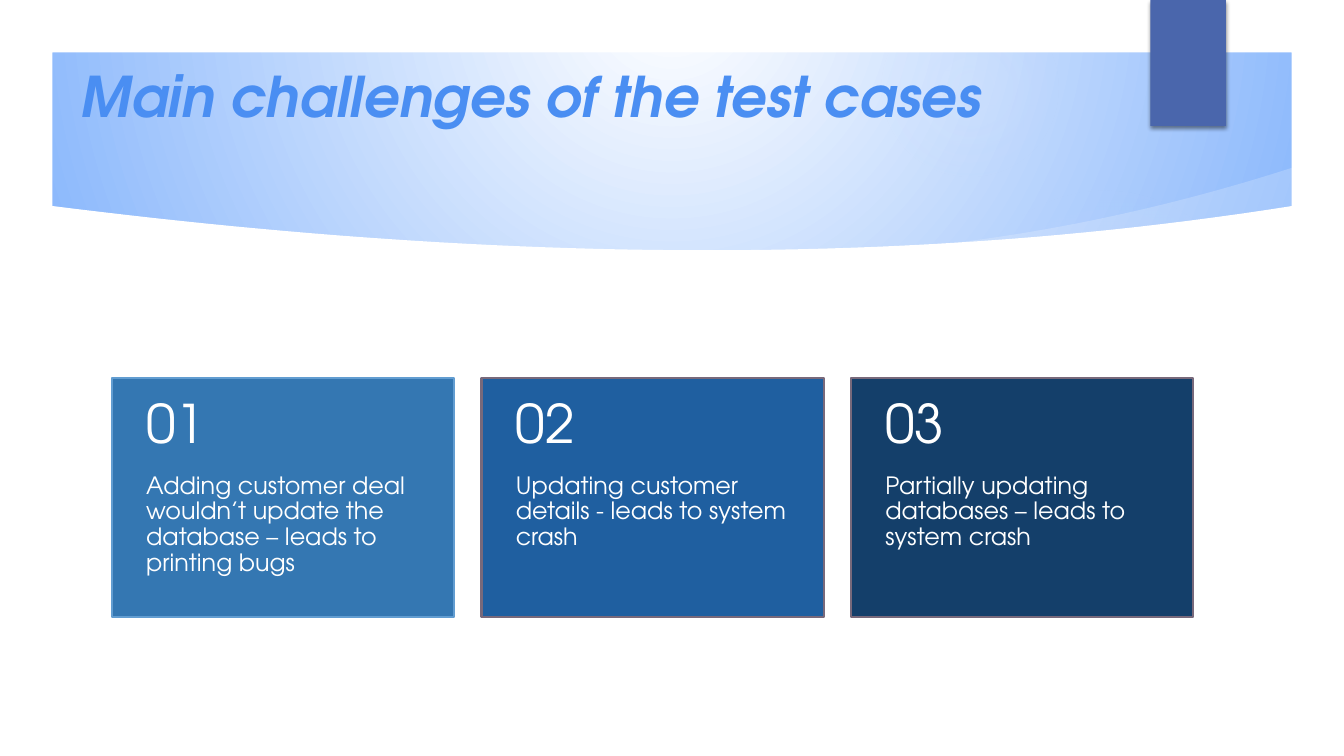
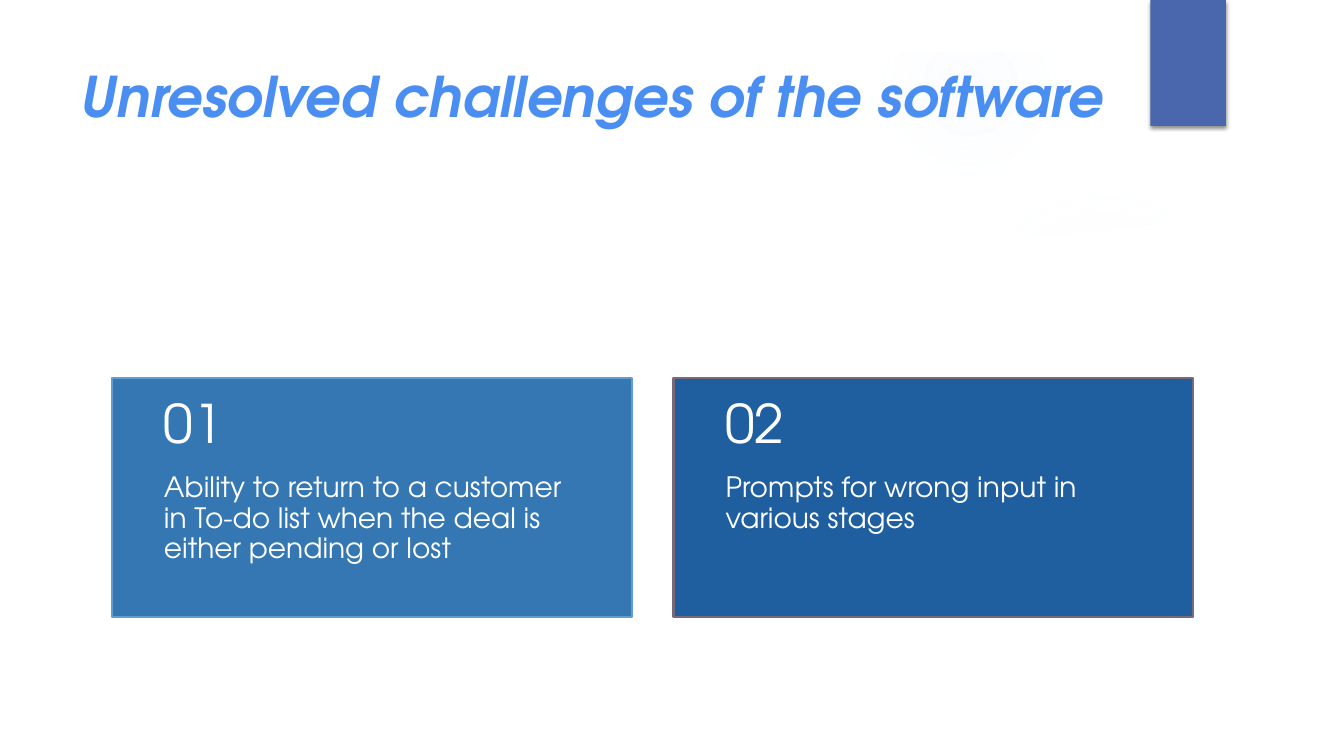
from dataclasses import dataclass

from pptx import Presentation
from pptx.dml.color import RGBColor
from pptx.enum.shapes import MSO_SHAPE as Preset
from pptx.enum.text import MSO_ANCHOR as Anchor
from pptx.oxml import parse_xml
from pptx.oxml.ns import nsdecls, qn
from pptx.util import Inches, Pt

WHITE = RGBColor(0xFF, 0xFF, 0xFF)
SKY = RGBColor(0x79, 0xAD, 0xFB)
GLOW = RGBColor(0xDE, 0xEA, 0xFD)
TITLE_BLUE = RGBColor(0x4A, 0x8E, 0xF2)
TAB_BLUE = RGBColor(0x4A, 0x66, 0xAC)
PALE_LINE = RGBColor(0x62, 0x9D, 0xD1)
MAUVE_LINE = RGBColor(0x78, 0x69, 0x7B)
CARD_STYLES = [
    (RGBColor(0x34, 0x77, 0xB2), PALE_LINE),
    (RGBColor(0x1F, 0x5F, 0xA0), MAUVE_LINE),
    (RGBColor(0x14, 0x3F, 0x6A), MAUVE_LINE),
]
FONT = "TeX Gyre Adventor"

COLUMNS, ROWS = 160, 90
WIDTH, HEIGHT = Inches(13.33), Inches(7.5)
FRAME_ROWS = 6.24
CURVE_STEPS = 48
CARD_GAP = 0.08
CARD_MARGIN = 0.1
NUMBER_SHARE = 0.4

GLOWS = [
    (0, 35, 55, ((0, 11), (36, 10), (75, 0))),
    (0, 38, 31, ((0, 8), (36, 8), (72, 0))),
    (113, 22, 37, ((0, 7), (36, 6), (69, 0))),
    (105, 0, 21, ((0, 14), (36, 7), (73, 0))),
    (113, 77, 13, ((0, 14), (36, 7), (66, 0))),
]


@dataclass
class Box:
    left: float
    top: float
    width: float
    height: float


def across(columns):
    return round(columns * WIDTH / COLUMNS)


def down(rows):
    return round(rows * HEIGHT / ROWS)


def lengths(box):
    return across(box.left), down(box.top), across(box.width), down(box.height)


def inner_box(box, x, y, width, height):
    return Box(box.left + x * box.width, box.top + y * box.height,
               width * box.width, height * box.height)


PAGE = Box(0, 0, COLUMNS, ROWS)
PANEL = Box(6, 24.5, 148, 59.5)
SHEEN = Box(111.6, 19.92, 42.4, 9.24)
TAB = Box(136.95, 0, 9, 15)
TITLE = Box(8.4, 6.72, 128, 9.24)
CARDS = Box(13.33, 45, 128.75, 28.5)


def paint_radial(owner, fill, stops, focus):
    fill.solid()
    solid = owner.find(".//" + qn("a:solidFill"))
    stop_list = "".join(
        f'<a:gs pos="{position * 1000}"><a:srgbClr val="{color}">'
        f'<a:alpha val="{alpha * 1000}"/></a:srgbClr></a:gs>'
        for position, color, alpha in stops)
    left, top, right, bottom = (share * 1000 for share in focus)
    gradient = parse_xml(
        f'<a:gradFill {nsdecls("a")} rotWithShape="1"><a:gsLst>{stop_list}</a:gsLst>'
        f'<a:path path="circle"><a:fillToRect l="{left}" t="{top}" '
        f'r="{right}" b="{bottom}"/></a:path></a:gradFill>')
    solid.getparent().replace(solid, gradient)


def finish(shape, color=None, line=None, opacity=100):
    shape.shadow.inherit = False
    if color is not None:
        shape.fill.solid()
        shape.fill.fore_color.rgb = color
        if opacity < 100:
            shade = shape.element.find(".//" + qn("a:srgbClr"))
            shade.append(parse_xml(
                f'<a:alpha {nsdecls("a")} val="{opacity * 1000}"/>'))
    if line is None:
        shape.line.fill.background()
    else:
        shape.line.color.rgb = line
        shape.line.width = Pt(1.5)
    return shape


def add_preset(slide, preset, box, **style):
    return finish(slide.shapes.add_shape(preset, *lengths(box)), **style)


def add_outline(slide, points, **style):
    start, *others = [(across(x), down(y)) for x, y in points]
    builder = slide.shapes.build_freeform(*start)
    builder.add_line_segments(others, close=True)
    return finish(builder.convert_to_shape(), **style)


def add_text(slide, box, text, *, size, color=WHITE, bold=False, italic=False,
             anchor=Anchor.TOP, side=1.2, above=0.6, below=0.6, spacing=1.0):
    frame = slide.shapes.add_textbox(*lengths(box)).text_frame
    frame.word_wrap = True
    frame.vertical_anchor = anchor
    frame.margin_left = frame.margin_right = across(side)
    frame.margin_top, frame.margin_bottom = down(above), down(below)
    paragraph = frame.paragraphs[0]
    paragraph.line_spacing = spacing
    run = paragraph.add_run()
    run.text = text
    font = run.font
    font.name, font.size = FONT, Pt(size)
    font.bold, font.italic = bold, italic
    font.color.rgb = color


def add_glows(slide):
    for left, top, diameter, stops in GLOWS:
        glow = add_preset(slide, Preset.OVAL, Box(left, top, diameter, diameter))
        paint_radial(glow.element, glow.fill,
                     [(position, GLOW, alpha) for position, alpha in stops],
                     (50, 50, 50, 50))


def add_sheen(slide, box):
    right, bottom = box.left + box.width, box.top + box.height
    points = [(box.left + 0.5, bottom + 0.8), (right, box.top + 5.8)]
    for step in range(CURVE_STEPS, -1, -1):
        share = step / CURVE_STEPS
        rise = 0.52 * share + 0.48 * share ** 2
        points.append((box.left + share * box.width, bottom - rise * box.height))
    add_outline(slide, points, color=WHITE, opacity=20)


def add_panel(slide, box):
    right, bottom = box.left + box.width, box.top + box.height
    points = [(box.left, bottom), (right, bottom)]
    for step in range(CURVE_STEPS, -1, -1):
        share = step / CURVE_STEPS
        offset = 2 * share - 1
        sag = (5.28 + 0.6 * offset) * (1 - offset ** 2)
        points.append((box.left + share * box.width, box.top + sag))
    add_outline(slide, points, color=WHITE)


def add_frame(slide, box):
    frame = add_preset(slide, Preset.FRAME, box, color=WHITE)
    frame.adjustments[0] = FRAME_ROWS / box.height


def add_tab(slide, box):
    tab = add_preset(slide, Preset.RECTANGLE, box, color=TAB_BLUE)
    tab.element.find(".//" + qn("a:effectLst")).append(parse_xml(
        f'<a:outerShdw {nsdecls("a")} blurRad="{Pt(3)}" dist="{Pt(2)}" '
        'dir="5400000" rotWithShape="0"><a:srgbClr val="000000">'
        '<a:alpha val="45000"/></a:srgbClr></a:outerShdw>'))


def add_card(slide, box, number, text, size, style):
    color, line = style
    side = CARD_MARGIN * box.width
    add_preset(slide, Preset.RECTANGLE, box, color=color, line=line)
    add_text(slide, inner_box(box, 0, NUMBER_SHARE, 1, 1 - NUMBER_SHARE), text,
             size=size, side=side, above=0, below=4.3, spacing=0.9)
    add_text(slide, inner_box(box, 0, 0, 1, NUMBER_SHARE), f"{number:02}",
             size=38, anchor=Anchor.MIDDLE, side=side, above=2.2, below=2.2,
             spacing=0.9)


def add_cards(slide, box, texts, size):
    share = 1 / (len(texts) + CARD_GAP * (len(texts) - 1))
    for index, (text, style) in enumerate(zip(texts, CARD_STYLES)):
        card = inner_box(box, index * share * (1 + CARD_GAP), 0, share, 1)
        add_card(slide, card, index + 1, text, size, style)


def add_challenge_slide(presentation, title, texts, size, banner=False):
    slide = presentation.slides.add_slide(presentation.slide_layouts[6])
    if banner:
        paint_radial(slide.element, slide.background.fill,
                     [(0, WHITE, 100), (100, SKY, 100)], (0, 0, 0, 100))
    add_glows(slide)
    add_sheen(slide, SHEEN)
    add_panel(slide, PANEL)
    add_frame(slide, PAGE)
    add_tab(slide, TAB)
    add_text(slide, TITLE, title, size=40, color=TITLE_BLUE, bold=True, italic=True)
    add_cards(slide, CARDS, texts, size)


def main():
    presentation = Presentation()
    presentation.slide_width, presentation.slide_height = WIDTH, HEIGHT
    add_challenge_slide(
        presentation, "Main challenges of the test cases",
        ["Adding customer deal wouldn’t update the database – leads to printing bugs",
         "Updating customer details - leads to system crash",
         "Partially updating databases – leads to system crash"],
        size=17, banner=True)
    add_challenge_slide(
        presentation, "Unresolved challenges of the software",
        ["Ability to return to a customer in To-do list when the deal is "
         "either pending or lost",
         "Prompts for wrong input in various stages"],
        size=20)
    presentation.save("out.pptx")


if __name__ == "__main__":
    main()
